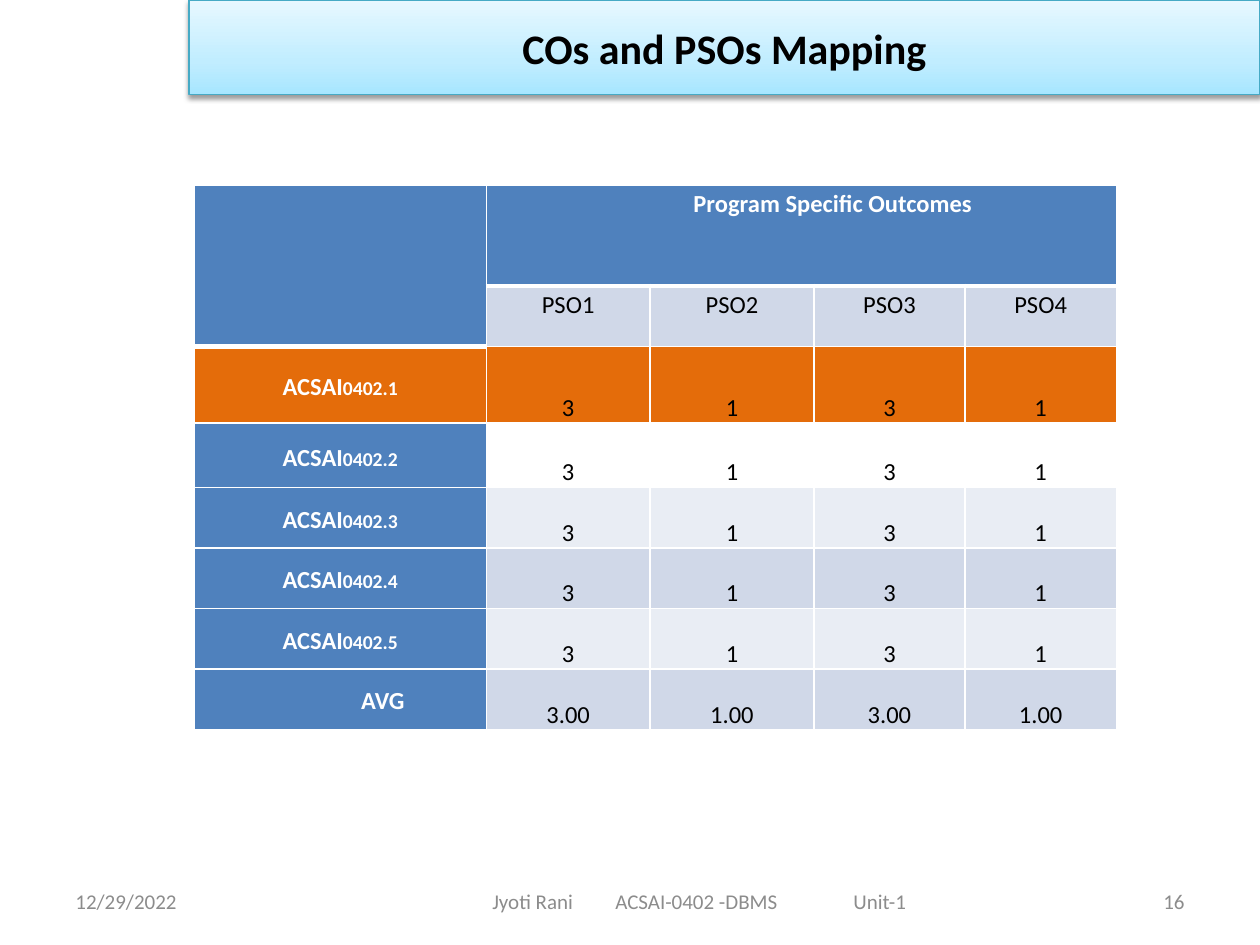
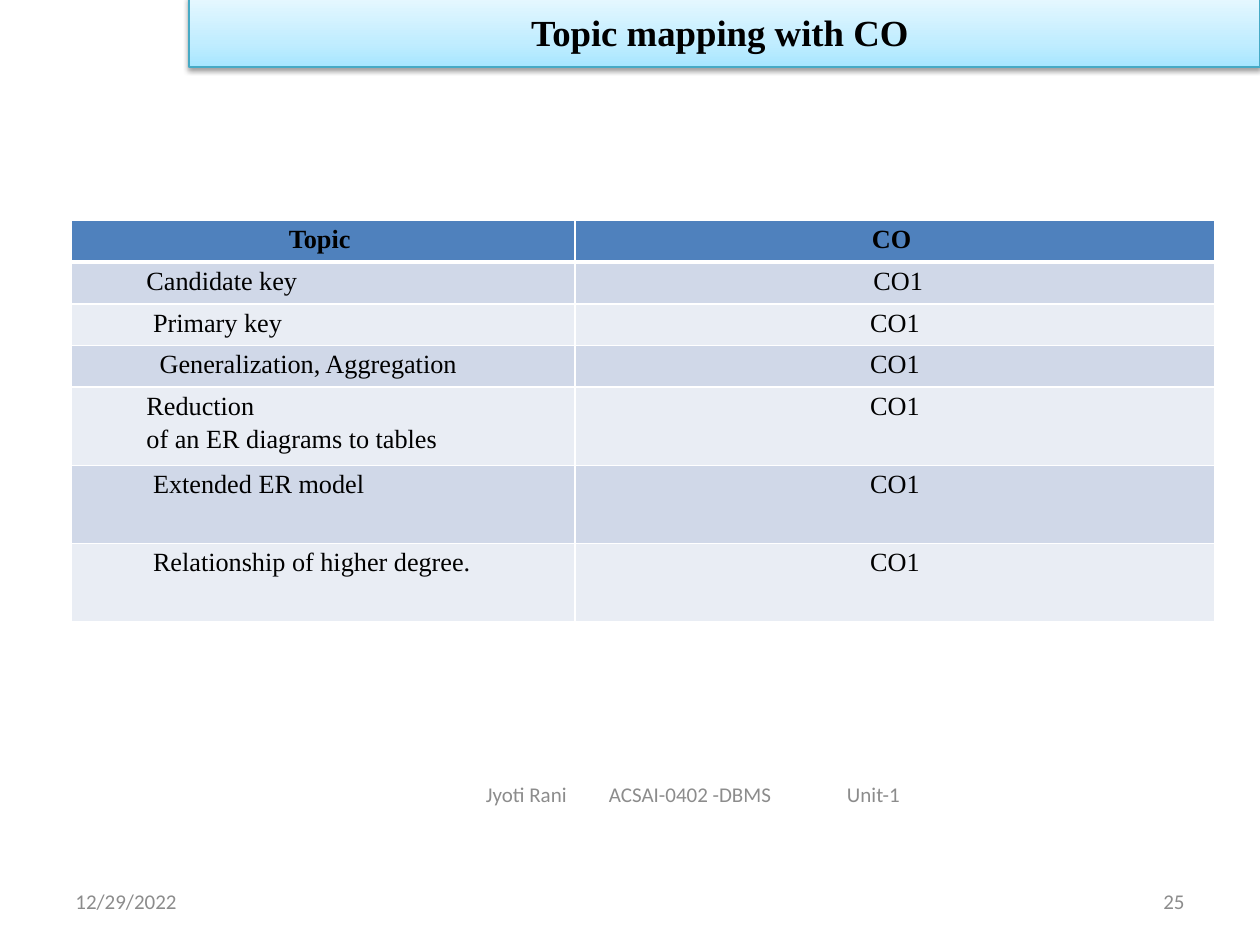
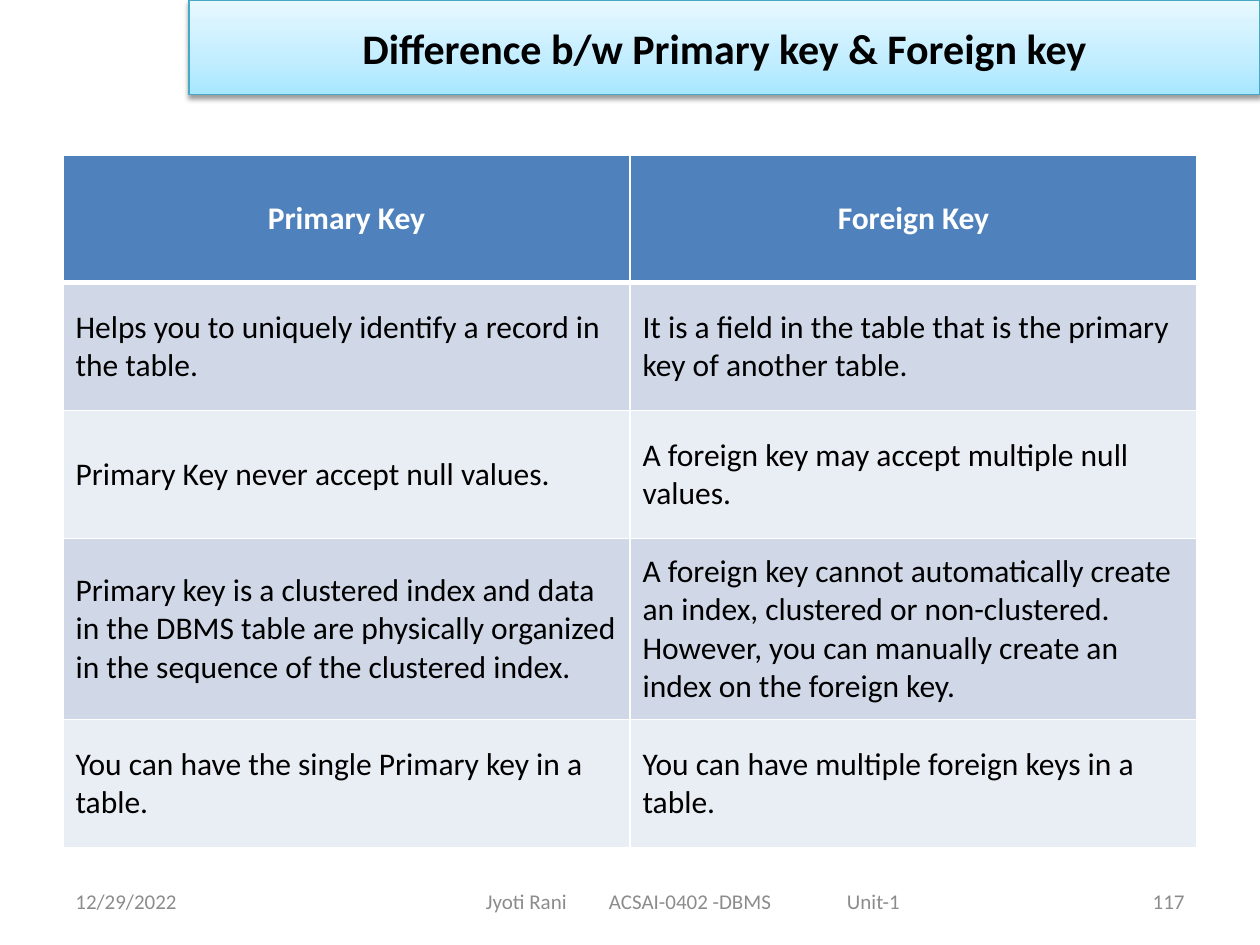
from copy import deepcopy
from dataclasses import dataclass

from lxml.etree import SubElement
from pptx import Presentation
from pptx.dml.color import RGBColor
from pptx.enum.shapes import MSO_SHAPE
from pptx.enum.text import MSO_ANCHOR, PP_ALIGN
from pptx.oxml.ns import qn
from pptx.util import Pt

LEFT, MID, RIGHT = PP_ALIGN.LEFT, PP_ALIGN.CENTER, PP_ALIGN.RIGHT
TOP, MIDDLE, BOTTOM = MSO_ANCHOR.TOP, MSO_ANCHOR.MIDDLE, MSO_ANCHOR.BOTTOM


@dataclass(frozen=True)
class Theme:
    sans: str = "Calibri"
    serif: str = "Times New Roman"
    black: str = "000000"
    white: str = "FFFFFF"
    grey: str = "8C8C8C"
    blue: str = "4F81BD"
    orange: str = "E46C0A"
    dark: str = "D0D8E8"
    light: str = "E9EDF4"
    edge: str = "46AAC5"
    grad: tuple = ((0, "A7E6FF"), (0.35, "C1EDFF"), (1, "E7F8FF"))
    small: int = 12
    title: int = 24


def rgb(color):
    return RGBColor.from_string(color)


def child(node, tag, **attrs):
    return SubElement(node, qn(tag), attrs)


class Deck:
    def __init__(self, theme):
        self.theme = theme
        self.prs = Presentation()
        self.prs.slide_width, self.prs.slide_height = Pt(720), Pt(540)
        self.slide = None

    def page(self):
        self.slide = self.prs.slides.add_slide(self.prs.slide_layouts[6])

    def style(self, para, size, color, font=None, bold=False, align=LEFT):
        para.alignment = align
        para.font.size = Pt(size)
        para.font.name = font or self.theme.sans
        para.font.bold = bold
        para.font.color.rgb = rgb(color)

    def band(self, text, top=0, height=54, size=None, font=None):
        """Title band with gradient and soft shadow."""
        shape = self.slide.shapes.add_shape(
            MSO_SHAPE.RECTANGLE, Pt(108), Pt(top), Pt(612), Pt(height))
        fill = shape.fill
        fill.gradient()
        fill.gradient_angle = 90
        last = fill.gradient_stops[1]._gs
        last.addprevious(deepcopy(last))
        for stop, (place, color) in zip(fill.gradient_stops, self.theme.grad):
            stop.position = place
            stop.color.rgb = rgb(color)
        shape.line.color.rgb = rgb(self.theme.edge)
        shape.line.width = Pt(0.75)
        shape.shadow.inherit = False
        effects = shape._element.spPr.find(qn("a:effectLst"))
        shade = child(effects, "a:outerShdw", blurRad=str(Pt(3.1)),
                      dist=str(Pt(1.6)), dir="5400000", rotWithShape="0")
        tint = child(shade, "a:srgbClr", val=self.theme.black)
        child(tint, "a:alpha", val="38000")
        frame = shape.text_frame
        frame.word_wrap = True
        frame.vertical_anchor = MIDDLE
        para = frame.paragraphs[0]
        para.text = text
        self.style(para, size or self.theme.title, self.theme.black, font, True, MID)

    def note(self, text, left, top, width, height, align=LEFT, inset=7.2, tabs=()):
        """Small grey footer text, with optional tab stops."""
        box = self.slide.shapes.add_textbox(Pt(left), Pt(top), Pt(width), Pt(height))
        frame = box.text_frame
        frame.word_wrap = True
        frame.vertical_anchor = MIDDLE
        frame.margin_left = Pt(inset)
        para = frame.paragraphs[0]
        para.text = text
        if tabs:
            stops = child(para._p.get_or_add_pPr(), "a:tabLst")
            for tab in tabs:
                child(stops, "a:tab", pos=str(Pt(tab)), algn="l")
        self.style(para, self.theme.small, self.theme.grey, align=align)

    def foot(self, number, left=198, top=500.4, width=396, height=28.8):
        """Date, course line and page number."""
        self.note("12/29/2022", 36, 500.4, 168, 28.8)
        self.note("Jyoti Rani\tACSAI-0402 -DBMS\tUnit-1", left, top, width, height,
                  inset=(width - 236.6) / 2, tabs=(70.3, 206.3))
        self.note(number, 516, 500.4, 168, 28.8, RIGHT)

    def table(self, left, top, cols, rows, heads=1):
        """Empty grid with white rules, thicker under the head rows."""
        grid = self.slide.shapes.add_table(
            len(rows), len(cols), Pt(left), Pt(top), Pt(sum(cols)), Pt(sum(rows))).table
        grid.first_row = grid.horz_banding = False
        for col, width in zip(grid.columns, cols):
            col.width = Pt(width)
        for row, height in zip(grid.rows, rows):
            row.height = Pt(height)
        for r in range(len(rows)):
            for c in range(len(cols)):
                thick = r == 0 or (c == 0 and r < heads)
                self.rule(grid.cell(r, c), r == 0, c == 0, 3 if thick else 1)
        return grid

    def rule(self, cell, top, left, below):
        props = cell._tc.get_or_add_tcPr()
        sides = [("a:lnL", 1)] if left else []
        sides += [("a:lnR", 1)]
        sides += [("a:lnT", 1)] if top else []
        sides += [("a:lnB", below)]
        for tag, width in sides:
            line = child(props, tag, w=str(Pt(width)))
            child(child(line, "a:solidFill"), "a:srgbClr", val=self.theme.white)

    def cell(self, cell, text, fill, size, color, font=None, bold=False, align=LEFT,
             anchor=MIDDLE, inset=(7.2, 3.6), indent=0, lines=None, after=None,
             caps=False):
        if fill:
            cell.fill.solid()
            cell.fill.fore_color.rgb = rgb(fill)
        else:
            cell.fill.background()
        cell.vertical_anchor = anchor
        cell.margin_left = cell.margin_right = Pt(inset[0])
        cell.margin_top = cell.margin_bottom = Pt(inset[1])
        cell.text = text
        for n, para in enumerate(cell.text_frame.paragraphs):
            if indent:
                para._p.get_or_add_pPr().set("marL", str(Pt(indent)))
            if lines:
                para.line_spacing = lines
            if after:
                para.space_after = Pt(after)
            if n:
                para.space_before = Pt(2)
            if caps:
                for run in para.runs:
                    run._r.get_or_add_rPr().set("cap", "small")
            self.style(para, size, color, font, bold, align)


def outcomes(deck):
    t = deck.theme
    deck.page()
    deck.foot("16", left=178.6, width=442)
    deck.band("COs and PSOs Mapping")
    grid = deck.table(110.9, 105.8, [167, 93.6, 93.6, 86.4, 86.4],
                      [57.6, 34.6, 43.9, 36.7] + [34.6] * 4, heads=2)
    base = dict(size=14, align=MID, inset=(5, 0), lines=1.15)
    head = dict(base, color=t.white, bold=True)

    # Head rows
    grid.cell(0, 0).merge(grid.cell(1, 0))
    grid.cell(0, 1).merge(grid.cell(0, 4))
    deck.cell(grid.cell(0, 0), "", t.blue, **head)
    deck.cell(grid.cell(0, 1), "Program Specific Outcomes", t.blue,
              anchor=TOP, indent=36, after=10, **head)
    for c in range(1, 5):
        deck.cell(grid.cell(1, c), f"PSO{c}", t.dark, color=t.black, anchor=TOP, **base)

    # Scores and averages
    marks = ["3", "1", "3", "1"]
    fills = [t.orange, None, t.light, t.dark, t.light, t.dark]
    for n, fill in enumerate(fills, 1):
        mean = n == len(fills)
        deck.cell(grid.cell(n + 1, 0), "AVG" if mean else f"ACSAI0402.{n}",
                  t.orange if n == 1 else t.blue, caps=True,
                  indent=24 if mean else 0, **head)
        for c, mark in enumerate(marks, 1):
            deck.cell(grid.cell(n + 1, c), mark + ".00" if mean else mark, fill,
                      color=t.black, anchor=BOTTOM, after=10, **base)


def topics(deck):
    t = deck.theme
    deck.page()
    deck.foot("25", top=442.8, height=21.6)
    deck.band("Topic mapping with CO ", -2, 40.3, 21, t.serif)
    grid = deck.table(40.5, 126, [288, 365.8], [23] * 4 + [44.7] * 3)
    base = dict(size=15, color=t.black, font=t.serif, anchor=TOP, inset=(7.2, 2.9))
    for c, text in enumerate(["Topic ", "CO "]):
        deck.cell(grid.cell(0, c), text, t.blue, bold=True, align=MID, **base)

    # Topic, its indent, and the indent of its outcome
    space = 3.75
    rows = [
        ("Candidate key", 0, space),
        ("Primary key", space, 0),
        ("Generalization, Aggregation", 2 * space, 0),
        ("Reduction\nof an ER diagrams to tables", 0, 0),
        ("Extended ER model", space, 0),
        ("Relationship of higher degree.", space, 0),
    ]
    for r, (topic, shift, push) in enumerate(rows, 1):
        fill = t.dark if r % 2 else t.light
        deck.cell(grid.cell(r, 0), topic, fill, indent=36 + shift, **base)
        deck.cell(grid.cell(r, 1), "CO1", fill, align=MID, indent=push, **base)


def keys(deck):
    t = deck.theme
    deck.page()
    deck.foot("117")
    deck.band("Difference b/w Primary key & Foreign key")
    rows = [
        ("Primary Key", "Foreign Key"),
        ("Helps you to uniquely identify a record in the table.",
         "It is a field in the table that is the primary key of another table."),
        ("Primary Key never accept null values.",
         "A foreign key may accept multiple null values."),
        ("Primary key is a clustered index and data in the DBMS table are physically "
         "organized in the sequence of the clustered index.",
         "A foreign key cannot automatically create an index, clustered or "
         "non-clustered. However, you can manually create an index on the foreign key."),
        ("You can have the single Primary key in a table.",
         "You can have multiple foreign keys in a table."),
    ]
    grid = deck.table(36, 88.6, [324, 324], [73, 73, 73, 103.7, 73])
    for r, pair in enumerate(rows):
        for c, text in enumerate(pair):
            if r == 0:
                deck.cell(grid.cell(r, c), text, t.blue, 18, t.white, bold=True, align=MID)
            else:
                deck.cell(grid.cell(r, c), text, t.dark if r % 2 else t.light, 18, t.black)


def main():
    deck = Deck(Theme())
    outcomes(deck)
    topics(deck)
    keys(deck)
    deck.prs.save("out.pptx")


if __name__ == "__main__":
    main()
